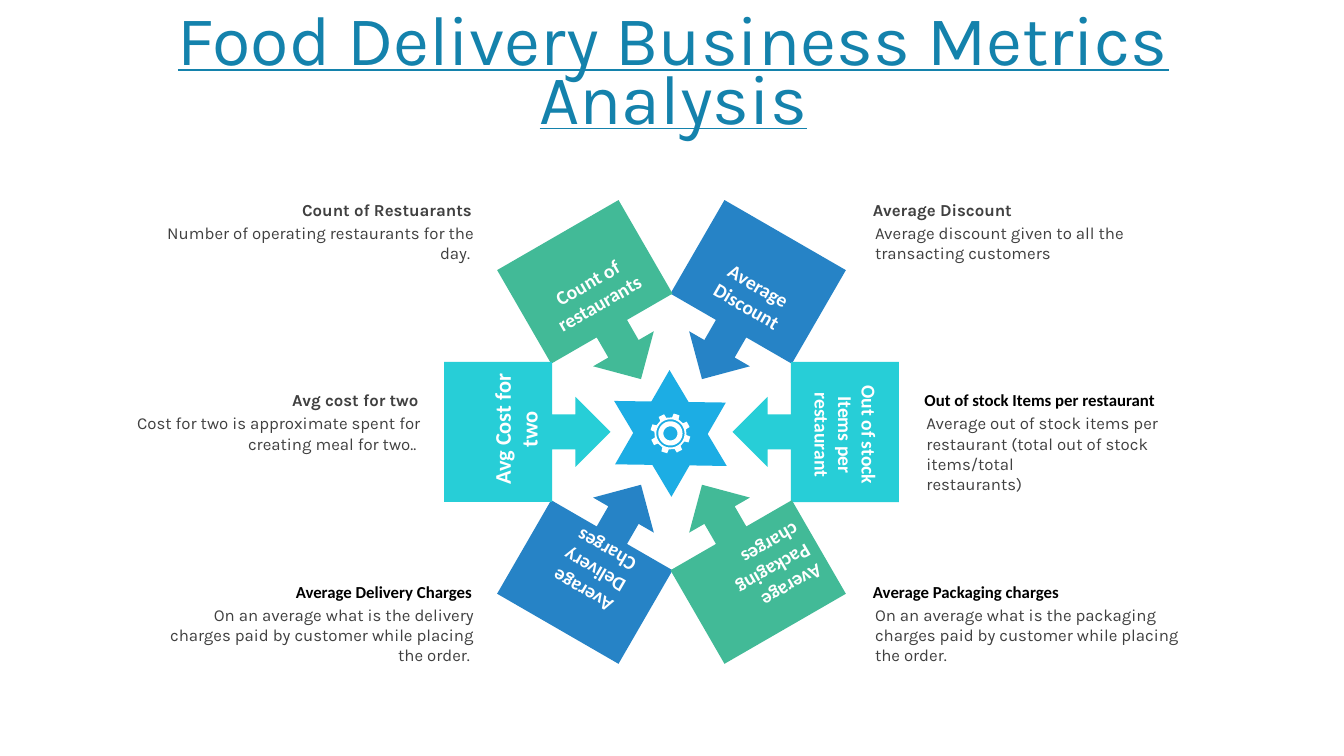
from math import cos, pi, radians, sin

from pptx import Presentation
from pptx.dml.color import RGBColor
from pptx.enum.shapes import MSO_SHAPE
from pptx.enum.text import MSO_ANCHOR, MSO_AUTO_SIZE, PP_ALIGN
from pptx.util import Inches, Pt

COLORS = {
    "title": "1482AC",
    "body": "404040",
    "black": "000000",
    "white": "FFFFFF",
    "star": "1CADE4",
    "blue": "2683C6",
    "cyan": "27CED7",
    "green": "42BA97",
}
RING_CENTER = (6.66, 4.285)
RING_RADIUS = 1.43
CALLOUT_SIZE = (1.39, 1.65)
GEAR_CENTER = (6.65, 4.3)
LABEL_WIDTH = 1.37
CAPTION_WIDTH = 3.28

CALLOUTS = [
    (30, "blue"), (210, "blue"), (90, "cyan"),
    (150, "green"), (330, "green"), (270, "cyan"),
]

LABELS = [
    ("Average Discount", 6.78, 2.65, 0.57, 30, {}),
    ("Out of stock Items per restaurant", 7.7, 3.91, 0.81, 90, {}),
    ("Average Packaging charges", 6.83, 5.34, 0.81, 150, {"align": PP_ALIGN.LEFT}),
    ("Average Delivery Charges", 5.21, 5.26, 0.81, 210, {}),
    ("Avg Cost for two", 4.43, 3.94, 0.64, 270, {"size": 16}),
    ("Count of restaurants", 5.2, 2.62, 0.57, 330, {}),
]

KARLA_HEADING = {"font": "Karla", "color": "body"}
CALIBRI_HEADING = {"font": "Calibri", "color": "black"}
CAPTIONS = [
    ("Average Discount",
     ["Average discount given to all the transacting customers"],
     8.56, 1.93, PP_ALIGN.LEFT, KARLA_HEADING),
    ("Out of stock Items per restaurant",
     ["Average out of stock items per restaurant (total out of stock items/total",
      "restaurants)"],
     9.07, 3.82, PP_ALIGN.LEFT, CALIBRI_HEADING),
    ("Average Packaging charges",
     ["On an average what is the packaging charges paid by customer while placing",
      "the order."],
     8.56, 5.72, PP_ALIGN.LEFT, CALIBRI_HEADING),
    ("Count of Restuarants",
     ["Number of operating restaurants for the day. "],
     1.5, 1.93, PP_ALIGN.RIGHT, KARLA_HEADING),
    ("Avg cost for two",
     ["Cost for two is approximate spent for creating meal for two.. "],
     0.97, 3.82, PP_ALIGN.RIGHT, KARLA_HEADING),
    ("Average Delivery Charges",
     ["On an average what is the delivery charges paid by customer while placing",
      "the order. "],
     1.5, 5.72, PP_ALIGN.RIGHT, CALIBRI_HEADING),
]


def rgb(name):
    return RGBColor.from_string(COLORS[name])


def add_text(page, lines, left, top, width, height, *, size=12, font="Karla",
             color="body", bold=False, underline=False, align=PP_ALIGN.LEFT,
             anchor=MSO_ANCHOR.TOP, rotation=0, grow=True,
             line_spacing=None, space_before=None):
    box = page.shapes.add_textbox(
        Inches(left), Inches(top), Inches(width), Inches(height))
    box.rotation = rotation
    frame = box.text_frame
    frame.word_wrap = True
    frame.auto_size = MSO_AUTO_SIZE.SHAPE_TO_FIT_TEXT if grow else MSO_AUTO_SIZE.NONE
    frame.vertical_anchor = anchor
    for index, line in enumerate(lines):
        para = frame.add_paragraph() if index else frame.paragraphs[0]
        para.alignment = align
        para.line_spacing = line_spacing
        para.space_before = space_before
        span = para.add_run()
        span.text = line
        span.font.name = font
        span.font.size = Pt(size)
        span.font.bold = bold
        span.font.underline = underline
        span.font.color.rgb = rgb(color)
    return box


def paint(shape, color):
    shape.shadow.inherit = False
    shape.fill.solid()
    shape.fill.fore_color.rgb = rgb(color)
    shape.line.fill.background()


def add_centered_shape(page, kind, center, size, rotation, color):
    width, height = size
    shape = page.shapes.add_shape(
        kind, Inches(center[0] - width / 2), Inches(center[1] - height / 2),
        Inches(width), Inches(height))
    shape.rotation = rotation
    paint(shape, color)


def add_callout(page, rotation, color):
    angle = radians(rotation)
    center = (RING_CENTER[0] + RING_RADIUS * sin(angle),
              RING_CENTER[1] - RING_RADIUS * cos(angle))
    add_centered_shape(page, MSO_SHAPE.DOWN_ARROW_CALLOUT, center,
                       CALLOUT_SIZE, rotation, color)


def add_caption(page, heading, lines, left, top, align, heading_format):
    add_text(page, [heading], left, top, CAPTION_WIDTH, 0.3, bold=True,
             align=align, anchor=MSO_ANCHOR.MIDDLE, **heading_format)
    height = 0.71 if len(lines) > 1 else 0.5
    add_text(page, lines, left + 0.02, top + 0.23, CAPTION_WIDTH, height, align=align)


def polar_point(radius, angle):
    return (Inches(GEAR_CENTER[0] + radius * cos(angle)),
            Inches(GEAR_CENTER[1] + radius * sin(angle)))


def circle_points(radius, count=48):
    return [polar_point(radius, 2 * pi * step / count) for step in range(count)]


def gear_points(teeth=8, root=0.16, tip=0.2):
    profile = [(-0.21, root), (-0.15, tip), (0.15, tip), (0.21, root)]
    return [polar_point(radius, 2 * pi * tooth / teeth + pi / 10 + offset)
            for tooth in range(teeth) for offset, radius in profile]


def add_gear(page):
    outline = gear_points()
    builder = page.shapes.build_freeform(*outline[0], scale=1.0)
    builder.add_line_segments(outline[1:], close=True)
    for radius in (0.14, 0.12, 0.07):
        ring = circle_points(radius)
        builder.move_to(*ring[0])
        builder.add_line_segments(ring[1:], close=True)
    paint(builder.convert_to_shape(), "white")


def main():
    deck = Presentation()
    deck.slide_width = Inches(13.33)
    deck.slide_height = Inches(7.5)
    page = deck.slides.add_slide(deck.slide_layouts[6])

    add_text(page, ["Food Delivery Business Metrics Analysis"],
             0.35, 0.37, 12.66, 0.79, size=50, color="title", underline=True,
             align=PP_ALIGN.CENTER, anchor=MSO_ANCHOR.MIDDLE, grow=False,
             line_spacing=0.7, space_before=Pt(10))
    for caption in CAPTIONS:
        add_caption(page, *caption)

    add_centered_shape(page, MSO_SHAPE.STAR_6_POINT, (6.65, 4.3), (1.08, 1.29),
                       300, "star")
    for rotation, color in CALLOUTS:
        add_callout(page, rotation, color)
    for text, left, top, height, rotation, changes in LABELS:
        label_format = {"size": 14, "align": PP_ALIGN.CENTER, **changes}
        add_text(page, [text], left, top, LABEL_WIDTH, height, font="Calibri",
                 color="white", bold=True, rotation=rotation, **label_format)
    add_gear(page)
    deck.save("out.pptx")


if __name__ == "__main__":
    main()
